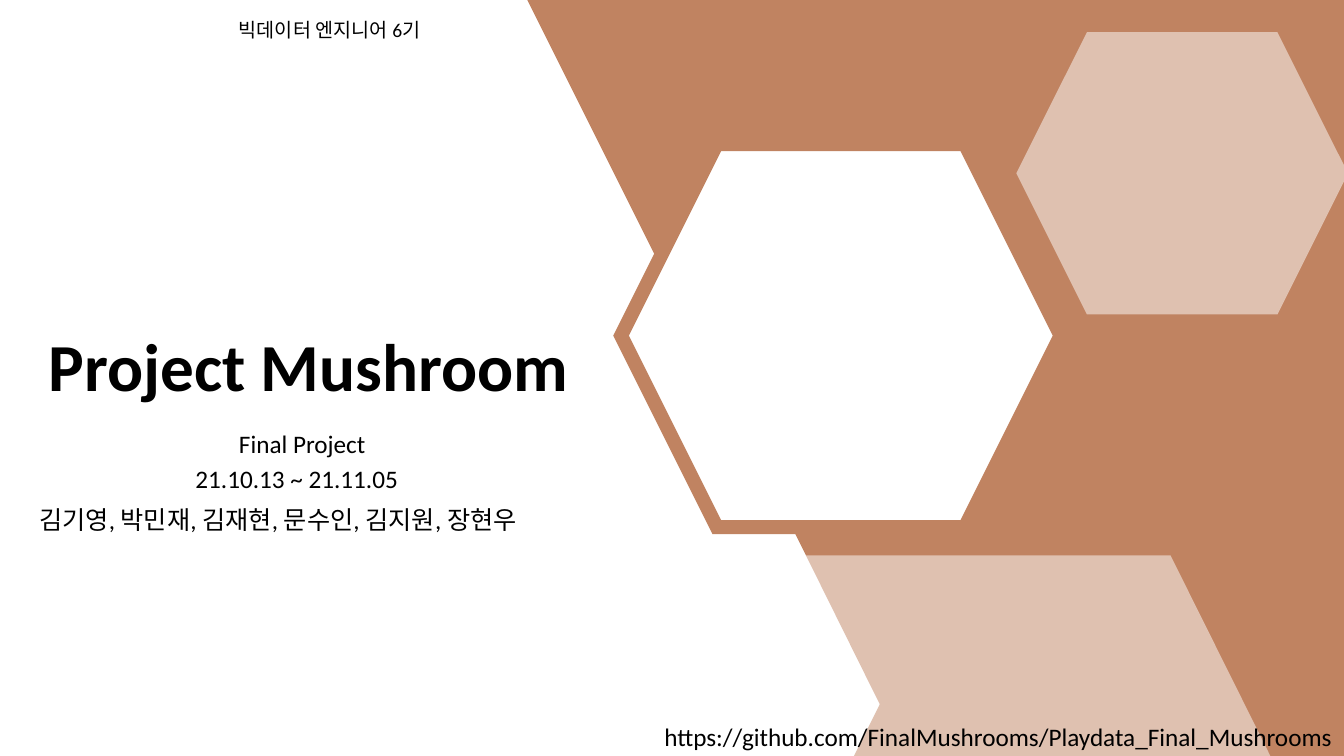
from dataclasses import dataclass
from typing import Optional

from lxml.etree import SubElement
from pptx import Presentation
from pptx.dml.color import RGBColor
from pptx.enum.shapes import MSO_SHAPE as Preset
from pptx.enum.text import MSO_ANCHOR as Anchor, MSO_AUTO_SIZE as AutoSize, PP_ALIGN as Align
from pptx.oxml.ns import qn
from pptx.util import Emu, Pt

PX = 9144  # 100 px to the inch
WIDTH, HEIGHT = 1333, 750


@dataclass(frozen=True)
class Theme:
    clay: str = "C08361"
    white: str = "FFFFFF"
    ink: str = "000000"
    latin: str = "Calibri"
    korean: str = "Noto Sans CJK KR"
    names: str = "Arial"
    title: int = 48
    body: int = 18
    small: int = 14
    outline: int = 10


THEME = Theme()


@dataclass(frozen=True)
class Panel:
    points: tuple[tuple[int, int], ...]
    color: str = THEME.clay
    opacity: int = 100


@dataclass(frozen=True)
class Label:
    text: str
    area: tuple[int, int, int, int]
    size: int = THEME.body
    bold: bool = False
    wrap: bool = True
    asian: Optional[str] = None
    placeholder: Optional[int] = None


PANELS = (
    Panel(((0, 0), (383, 0), (649, 532), (540, 749), (0, 749)), THEME.white, 60),
    Panel(((523, 0), (783, 0), (653, 260))),
    Panel(((769, 0), (888, 0), (958, 141), (699, 141))),
    Panel(((882, 0), (1333, 0), (1333, 303), (1183, 603))),
    Panel(((1221, 0), (1260, 0), (1333, 146), (1333, 750), (847, 750))),
    Panel(((783, 518), (1042, 518), (927, 750), (898, 750))),
    Panel(((696, 551), (1161, 551), (1260, 750), (596, 750)), THEME.white, 50),
)

LABELS = (
    Label("Project Mushroom", (38, 317, 771, 91), THEME.title, bold=True, placeholder=0),
    Label("김기영, 박민재, 김재현, 문수인, 김지원, 장현우", (29, 495, 551, 40), asian=THEME.names),
    Label("빅데이터 엔지니어 6기", (227, 13, 225, 34), THEME.small, asian=THEME.korean),
    Label("Final Project", (227, 420, 156, 40), placeholder=1),
    Label("https://github.com/FinalMushrooms/Playdata_Final_Mushrooms", (649, 711, 699, 40)),
    Label("21.10.13 ~ 21.11.05", (184, 455, 223, 40), wrap=False),
)


def scaled(area: tuple[int, int, int, int]) -> list[Emu]:
    return [Emu(length * PX) for length in area]


def paint(shape, color: str, opacity: int = 100) -> None:
    shape.shadow.inherit = False
    shape.line.fill.background()
    shape.fill.solid()
    shape.fill.fore_color.rgb = RGBColor.from_string(color)
    if opacity < 100:
        swatch = shape._element.spPr.find(qn("a:solidFill")).find(qn("a:srgbClr"))
        SubElement(swatch, qn("a:alpha")).set("val", str(opacity * 1000))


def draw_panel(page, panel: Panel) -> None:
    start, *rest = panel.points
    builder = page.shapes.build_freeform(*start, scale=PX)
    builder.add_line_segments(rest, close=True)
    paint(builder.convert_to_shape(), panel.color, panel.opacity)


def draw_frame(page) -> None:
    frame = page.shapes.add_shape(Preset.HEXAGON, *scaled((616, 143, 436, 380)))
    frame.shadow.inherit = False
    frame.fill.background()
    frame.line.color.rgb = RGBColor.from_string(THEME.clay)
    frame.line.width = Pt(THEME.outline)
    SubElement(frame.line._get_or_add_ln(), qn("a:miter")).set("lim", "800000")


def draw_label(page, label: Label) -> None:
    if label.placeholder is None:
        box = page.shapes.add_textbox(*scaled(label.area))
    else:
        box = page.placeholders[label.placeholder]
        box.left, box.top, box.width, box.height = scaled(label.area)
        page.shapes._spTree.append(box._element)  # lift above the panels
    frame = box.text_frame
    frame.text = label.text
    frame.word_wrap = label.wrap
    frame.auto_size = AutoSize.SHAPE_TO_FIT_TEXT
    frame.vertical_anchor = Anchor.TOP
    para = frame.paragraphs[0]
    para.alignment = Align.LEFT
    para.space_before = Pt(0)
    for span in para.runs:
        span.font.name = THEME.latin
        span.font.size = Pt(label.size)
        span.font.bold = label.bold
        span.font.color.rgb = RGBColor.from_string(THEME.ink)
        if label.asian:
            SubElement(span.font._element, qn("a:ea")).set("typeface", label.asian)


def main() -> None:
    deck = Presentation()
    deck.slide_width, deck.slide_height = Emu(WIDTH * PX), Emu(HEIGHT * PX)
    page = deck.slides.add_slide(deck.slide_layouts[0])

    # Backdrop: white side, hexagon frame, clay panels around it
    backdrop, *surround = PANELS
    draw_panel(page, backdrop)
    draw_frame(page)
    for panel in surround:
        draw_panel(page, panel)
    paint(page.shapes.add_shape(Preset.HEXAGON, *scaled((1008, 32, 329, 280))), THEME.white, 50)

    # Wording
    for label in LABELS:
        draw_label(page, label)

    deck.save("out.pptx")


if __name__ == "__main__":
    main()
